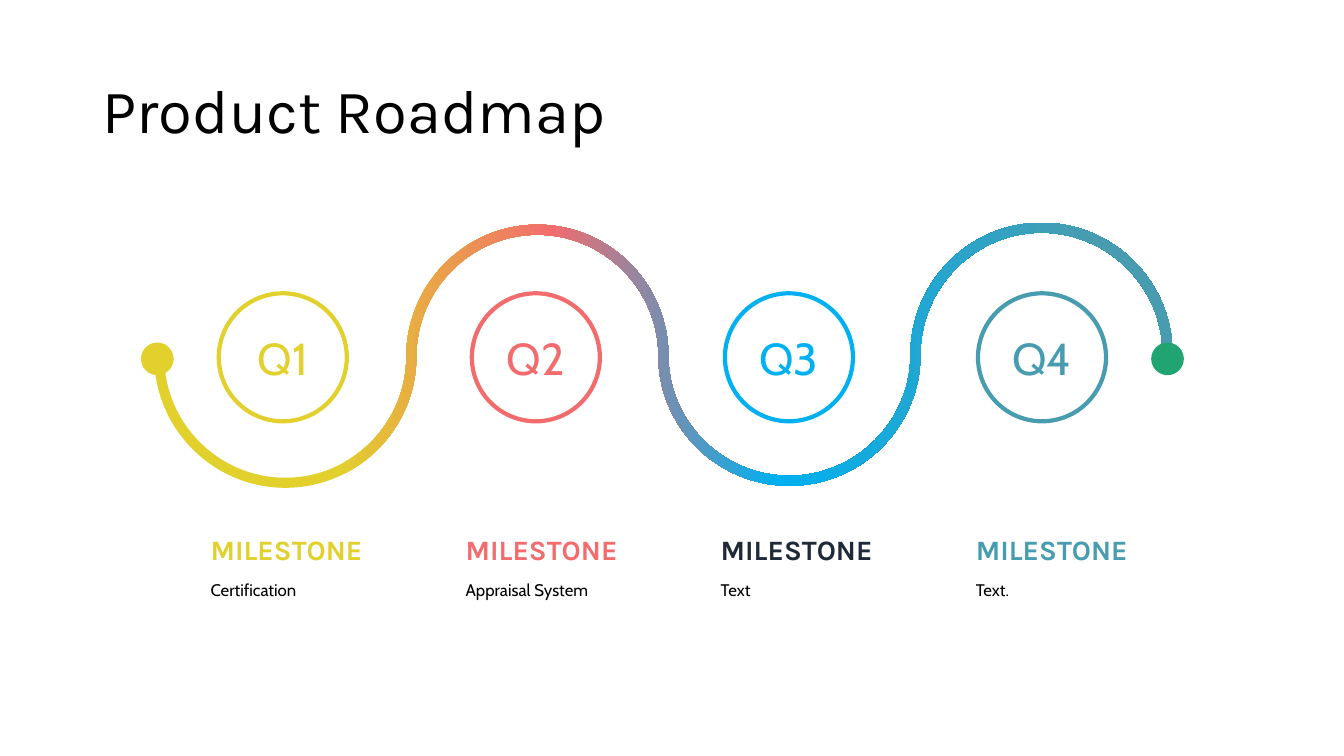
"""Build a product roadmap slide with four milestones along a winding ribbon."""
from dataclasses import dataclass

from lxml.etree import SubElement
from pptx import Presentation
from pptx.dml.color import RGBColor
from pptx.enum.shapes import MSO_SHAPE
from pptx.enum.text import MSO_ANCHOR, PP_ALIGN
from pptx.oxml.ns import qn
from pptx.shapes.autoshape import Shape
from pptx.slide import Slide
from pptx.util import Emu, Pt

EMU_PER_PX = 9144
RING_LEFT, RING_TOP, RING_SIZE, RING_PITCH = 217, 291, 127, 251
LABEL_LEFT, LABEL_PITCH = 199, 253
ARC_X, ARC_Y, ARC_RADIUS, ARC_PITCH = 283, 354, 125, 250
RIBBON_HALF, CURVE = 5, 0.55
DOT_TOP, DOT_SIZE = 344, 24
RIBBON_STOPS = ((18, "E2D02C"), (39, "F26C6E"), (61, "00B0F0"), (92, "489CAF"))


@dataclass(frozen=True)
class Milestone:
    """One quarter of the roadmap."""
    quarter: str
    detail: str
    ring_color: str
    heading_color: str


@dataclass(frozen=True)
class Dot:
    """A round end of the ribbon."""
    left: int
    color: str


MILESTONES = (
    Milestone("Q1", "Certification", "E2D02C", "E2D02C"),
    Milestone("Q2", "Appraisal System", "F26C6E", "F26C6E"),
    Milestone("Q3", "Text", "00B0F0", "1F2938"),
    Milestone("Q4", "Text.", "489CAF", "489CAF"),
)
DOTS = (Dot(144, "E2D02C"), Dot(1146, "20A472"))


def px(length: float) -> Emu:
    """Turn px into EMU."""
    return Emu(round(length * EMU_PER_PX))


def color(value: str) -> RGBColor:
    """Turn a hex string into a colour."""
    return RGBColor.from_string(value)


def write(shape: Shape, text: str, *, font: str, size: int, ink: str,
          bold: bool = False, align: PP_ALIGN = PP_ALIGN.LEFT,
          anchor: MSO_ANCHOR = MSO_ANCHOR.TOP, spacing: float = 1.0) -> None:
    """Put one formatted paragraph into a shape."""
    frame = shape.text_frame
    frame.word_wrap = True
    frame.vertical_anchor = anchor
    para = frame.paragraphs[0]
    para.alignment = align
    para.line_spacing = spacing
    span = para.add_run()
    span.text = text
    span.font.name = font
    span.font.size = Pt(size)
    span.font.bold = bold
    span.font.color.rgb = color(ink)


def add_text(page: Slide, left: int, top: int, width: int, height: int,
             text: str, **style) -> None:
    """Add a text box."""
    box = page.shapes.add_textbox(px(left), px(top), px(width), px(height))
    write(box, text, **style)


def add_circle(page: Slide, left: int, top: int, size: int, *,
               fill: str, line: str, weight: int) -> Shape:
    """Add a filled and outlined circle."""
    circle = page.shapes.add_shape(MSO_SHAPE.OVAL, px(left), px(top), px(size), px(size))
    circle.shadow.inherit = False
    circle.fill.solid()
    circle.fill.fore_color.rgb = color(fill)
    circle.line.color.rgb = color(line)
    circle.line.width = Pt(weight)
    return circle


def ribbon_edge(offset: int) -> list[tuple[Emu, Emu]]:
    """List the side and turning points of one edge of the wave."""
    points = [(px(ARC_X - ARC_RADIUS - offset), px(ARC_Y))]
    for index in range(len(MILESTONES)):
        side = 1 if index % 2 == 0 else -1
        radius = ARC_RADIUS + side * offset
        center_x, center_y = ARC_X + index * ARC_PITCH, ARC_Y - index
        points.append((px(center_x), px(center_y + side * radius)))
        points.append((px(center_x + radius), px(center_y)))
    return points


def round_corners(ribbon: Shape, edge_size: int) -> None:
    """Turn the straight segments along both edges into quarter circles."""
    segments = list(ribbon.element.iter(qn("a:lnTo")))
    start = next(ribbon.element.iter(qn("a:moveTo")))[0]
    x0, y0 = int(start.get("x")), int(start.get("y"))
    for index, segment in enumerate(segments):
        x1, y1 = int(segment[0].get("x")), int(segment[0].get("y"))
        place = index % edge_size
        if place < edge_size - 1:
            bend_x, bend_y = CURVE * (x1 - x0), CURVE * (y1 - y0)
            if place % 2 == 0:
                controls = ((x0, y0 + bend_y), (x1 - bend_x, y1))
            else:
                controls = ((x0 + bend_x, y0), (x1, y1 - bend_y))
            curve = SubElement(segment.getparent(), qn("a:cubicBezTo"))
            for x, y in (*controls, (x1, y1)):
                SubElement(curve, qn("a:pt"), x=str(round(x)), y=str(round(y)))
            segment.getparent().replace(segment, curve)
        x0, y0 = x1, y1


def add_ribbon(page: Slide) -> None:
    """Add the winding ribbon with its gradient."""
    outer = ribbon_edge(RIBBON_HALF)
    outline = outer + ribbon_edge(-RIBBON_HALF)[::-1]
    builder = page.shapes.build_freeform(*outline[0])
    builder.add_line_segments(outline[1:], close=True)
    ribbon = builder.convert_to_shape()
    round_corners(ribbon, len(outer))
    ribbon.shadow.inherit = False
    ribbon.line.fill.background()
    ribbon.fill.gradient()
    ribbon.fill.gradient_angle = 0
    stops = ribbon.element.spPr.find(f".//{qn('a:gsLst')}")
    stops.clear()
    for percent, value in RIBBON_STOPS:
        stop = SubElement(stops, qn("a:gs"), pos=str(percent * 1000))
        SubElement(stop, qn("a:srgbClr"), val=value)


def add_ring(page: Slide, index: int, milestone: Milestone) -> None:
    """Add the ring that names the quarter."""
    ring = add_circle(page, RING_LEFT + index * RING_PITCH, RING_TOP, RING_SIZE,
                      fill="FFFFFF", line=milestone.ring_color, weight=3)
    write(ring, milestone.quarter, font="Cabin", size=32, ink=milestone.ring_color,
          align=PP_ALIGN.CENTER, anchor=MSO_ANCHOR.MIDDLE)


def add_label(page: Slide, index: int, milestone: Milestone) -> None:
    """Add the heading and detail below a quarter."""
    left = LABEL_LEFT + index * LABEL_PITCH
    add_text(page, left, 527, 196, 33, "MILESTONE", font="Karla", size=20,
             ink=milestone.heading_color, bold=True, spacing=0.9)
    add_text(page, left, 570, 198, 77, milestone.detail, font="Cabin", size=12,
             ink="000000")


def main() -> None:
    """Build and save the deck."""
    deck = Presentation()
    deck.slide_width, deck.slide_height = px(1333), px(750)
    page = deck.slides.add_slide(deck.slide_layouts[6])
    for index, milestone in enumerate(MILESTONES):
        add_ring(page, index, milestone)
    add_ribbon(page)
    for dot in DOTS:
        add_circle(page, dot.left, DOT_TOP, DOT_SIZE, fill=dot.color,
                   line=dot.color, weight=6)
    for index, milestone in enumerate(MILESTONES):
        add_label(page, index, milestone)
    add_text(page, 92, 40, 1150, 145, "Product Roadmap", font="Karla", size=44,
             ink="000000", anchor=MSO_ANCHOR.MIDDLE, spacing=0.9)
    deck.save("out.pptx")


if __name__ == "__main__":
    main()
